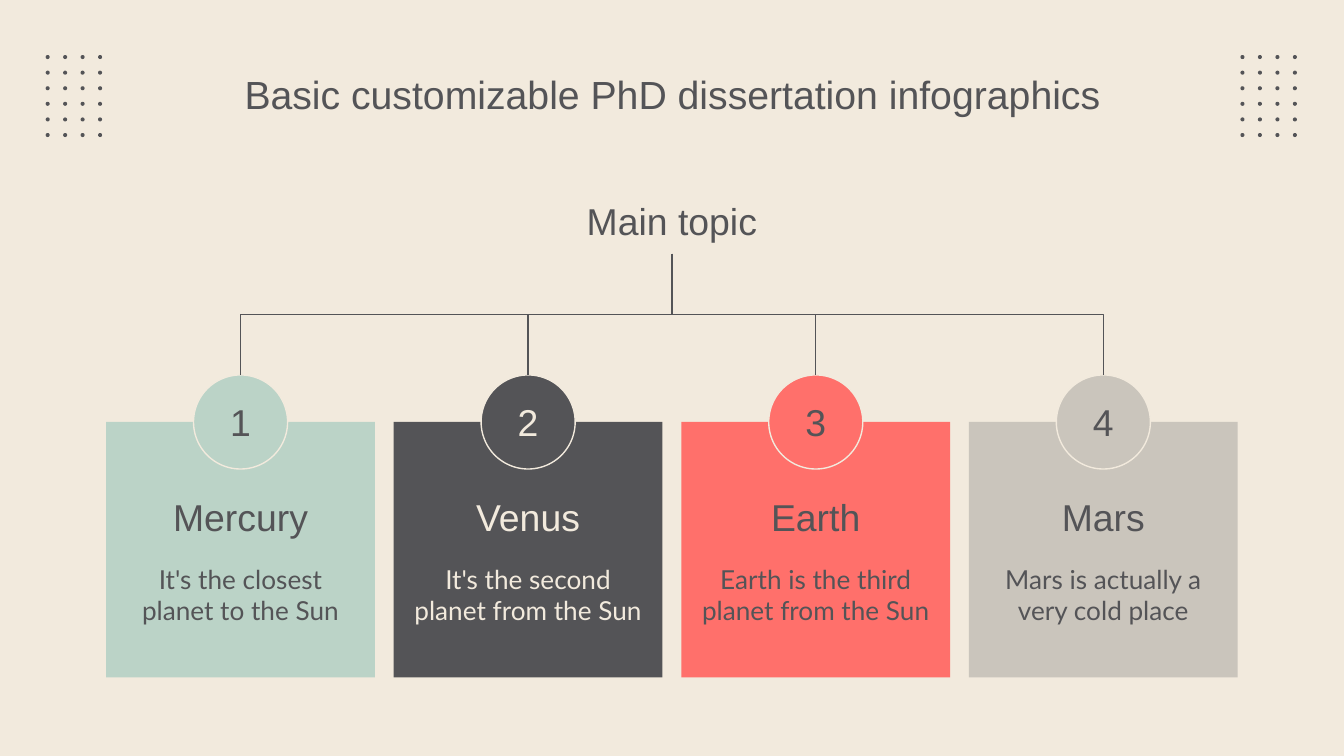
from pptx import Presentation
from pptx.dml.color import RGBColor
from pptx.enum.shapes import MSO_CONNECTOR, MSO_SHAPE
from pptx.enum.text import MSO_ANCHOR, MSO_AUTO_SIZE, PP_ALIGN
from pptx.oxml import parse_xml
from pptx.oxml.ns import nsdecls
from pptx.util import Inches, Pt

RECTANGLE, ELLIPSE = MSO_SHAPE.RECTANGLE, MSO_SHAPE.OVAL
ELBOW = MSO_CONNECTOR.ELBOW
TOP, MIDDLE = MSO_ANCHOR.TOP, MSO_ANCHOR.MIDDLE
CENTER = PP_ALIGN.CENTER
NO_AUTOFIT = MSO_AUTO_SIZE.NONE

SLIDE_WIDTH = 10
SLIDE_HEIGHT = SLIDE_WIDTH * 9 / 16
CREAM, DARK = "F2EADD", "545457"
HEADING_FONT, BODY_FONT = "Arial", "Lato"
TITLE_ONLY_LAYOUT = 5
QUARTER_TURN = 90 * 60000

CARDS = [
    ("Mercury", "It's the closest planet to the Sun", "BBD3C7", DARK),
    ("Venus", "It's the second planet from the Sun", DARK, CREAM),
    ("Earth", "Earth is the third planet from the Sun", "FF706B", DARK),
    ("Mars", "Mars is actually a very cold place", "CAC5BC", DARK),
]
CARD_LEFT, CARD_TOP, CARD_WIDTH, CARD_HEIGHT = 0.79, 3.14, 2, 1.9
CARD_PITCH = 2.14
BADGE_SIZE = 0.7


def color(hex_string):
    return RGBColor.from_string(hex_string)


def write(shape, text, size=20, font=HEADING_FONT, text_color=DARK,
          anchor=MIDDLE, top_inset=0.1):
    frame = shape.text_frame
    frame.auto_size = NO_AUTOFIT
    frame.word_wrap = True
    frame.vertical_anchor = anchor
    frame.margin_left = frame.margin_right = frame.margin_bottom = Inches(0.1)
    frame.margin_top = Inches(top_inset)
    paragraph = frame.paragraphs[0]
    paragraph.alignment = CENTER
    run = paragraph.add_run()
    run.text = text
    run.font.size = Pt(size)
    run.font.name = font
    run.font.color.rgb = color(text_color)


def add_text(slide, box, text, **text_format):
    write(slide.shapes.add_textbox(*map(Inches, box)), text, **text_format)


def add_filled(slide, kind, box, fill, line=None):
    shape = slide.shapes.add_shape(kind, *map(Inches, box))
    shape.shadow.inherit = False
    shape.fill.solid()
    shape.fill.fore_color.rgb = color(fill)
    if line:
        shape.line.color.rgb = color(line)
        shape.line.width = Pt(0.75)
    else:
        shape.line.fill.background()
    return shape


def add_dot_grid(slide, left, top, columns=4, rows=6):
    width, height = 0.39, 0.58
    for row in range(rows):
        for column in range(columns):
            box = (left + width * column / (columns - 1),
                   top + height * row / (rows - 1), 0.03, 0.03)
            add_filled(slide, ELLIPSE, box, DARK)


def add_title(slide, box, text):
    title = slide.shapes.title
    title.left, title.top, title.width, title.height = map(Inches, box)
    write(title, text, size=21, top_inset=0.07)


def add_card(slide, left, top, number, name, description, fill, text_color):
    add_filled(slide, RECTANGLE, (left, top, CARD_WIDTH, CARD_HEIGHT), fill)
    add_text(slide, (left + 0.05, top + 0.45, 1.9, 0.5), name,
             text_color=text_color)
    add_text(slide, (left + 0.05, top + 0.95, 1.9, 0.7), description, size=14,
             font=BODY_FONT, text_color=text_color, anchor=TOP)
    badge_box = (left + (CARD_WIDTH - BADGE_SIZE) / 2, top - BADGE_SIZE / 2,
                 BADGE_SIZE, BADGE_SIZE)
    badge = add_filled(slide, ELLIPSE, badge_box, fill, line=CREAM)
    write(badge, str(number), text_color=text_color)


def add_branch(slide, start_x, start_y, end_x, end_y):
    """Draw a down-across-down elbow: a horizontal elbow turned a quarter."""
    middle_x, middle_y = (start_x + end_x) / 2, (start_y + end_y) / 2
    half_drop = (end_y - start_y) / 2
    half_reach = abs(end_x - start_x) / 2
    direction = 1 if end_x < start_x else -1
    ends = (middle_x - direction * half_drop, middle_y - half_reach,
            middle_x + direction * half_drop, middle_y + half_reach)
    branch = slide.shapes.add_connector(ELBOW, *map(Inches, ends))
    branch.line.color.rgb = color(DARK)
    branch.line.width = Pt(0.75)
    properties = branch._element.spPr
    rotation = QUARTER_TURN if direction == 1 else 3 * QUARTER_TURN
    properties.xfrm.set("rot", str(rotation))
    properties.append(parse_xml(f"<a:effectLst {nsdecls('a')}/>"))


def add_hierarchy(slide):
    add_text(slide, (4, 1.39, 2, 0.5), "Main topic")
    for index, card in enumerate(CARDS):
        left = CARD_LEFT + CARD_PITCH * index
        add_card(slide, left, CARD_TOP, index + 1, *card)
        add_branch(slide, SLIDE_WIDTH / 2, 1.89, left + CARD_WIDTH / 2,
                   CARD_TOP - BADGE_SIZE / 2)


def main():
    presentation = Presentation()
    presentation.slide_width = Inches(SLIDE_WIDTH)
    presentation.slide_height = Inches(SLIDE_HEIGHT)
    layout = presentation.slide_layouts[TITLE_ONLY_LAYOUT]
    slide = presentation.slides.add_slide(layout)
    slide.background.fill.solid()
    slide.background.fill.fore_color.rgb = color(CREAM)
    for left in (0.34, 9.23):
        add_dot_grid(slide, left, 0.41)
    add_title(slide, (0.79, 0.4, 8.43, 0.63),
              "Basic customizable PhD dissertation infographics")
    add_hierarchy(slide)
    presentation.save("out.pptx")


if __name__ == "__main__":
    main()
